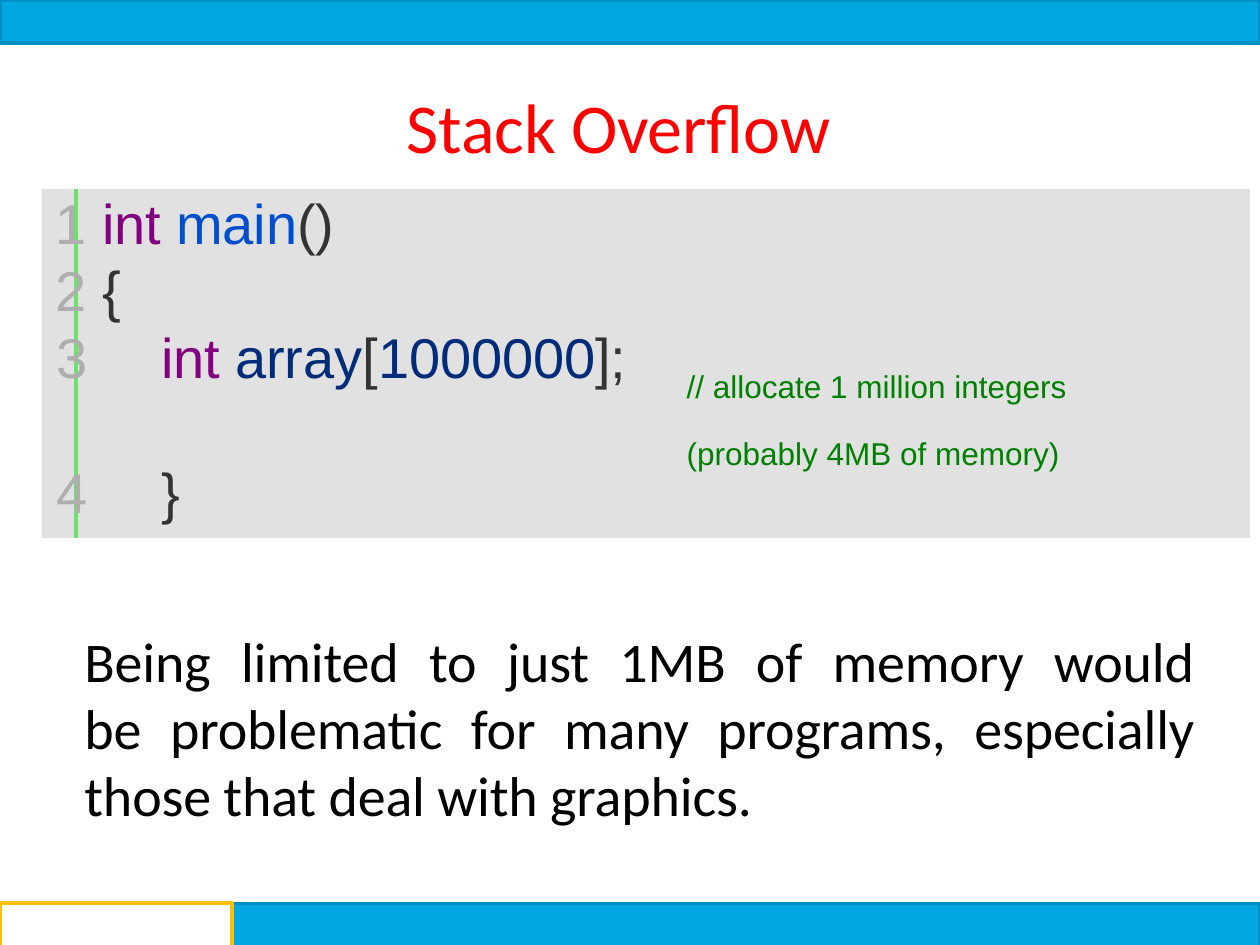
from lxml import etree
from pptx import Presentation
from pptx.dml.color import RGBColor
from pptx.enum.shapes import MSO_CONNECTOR, MSO_SHAPE
from pptx.enum.text import PP_ALIGN
from pptx.oxml.ns import qn
from pptx.util import Inches, Pt

COLORS = {
    "bar": "00A7E1", "bar_line": "0091C4", "white": "FFFFFF", "gold": "FFC000",
    "title": "FF0000", "panel": "E1E1E1", "rule": "6CE16C", "body": "000000",
    "number": "AEAEAE", "keyword": "800080", "function": "004ED0",
    "symbol": "333333", "value": "002C79", "comment": "008000",
}
LINE_PITCH = Pt(38.3)
CODE_LINES = [
    [("1 ", "number"), ("int ", "keyword"), ("main", "function"), ("()", "symbol")],
    [("2 ", "number"), ("{", "symbol")],
    [("int ", "keyword"), ("array", "value"), ("[", "symbol"),
     ("1000000", "value"), ("];", "symbol")],
    [("}", "symbol")],
]
FIRST_NUMBERED = 2


def rgb(name):
    return RGBColor.from_string(COLORS[name])


def paint(shape, fill, line=None, width=2):
    shape.shadow.inherit = False
    shape.fill.solid()
    shape.fill.fore_color.rgb = rgb(fill)
    if line:
        shape.line.color.rgb = rgb(line)
        shape.line.width = Pt(width)
    else:
        shape.line.fill.background()


def add_rectangle(slide, left, top, width, height, fill, line=None):
    shape = slide.shapes.add_shape(
        MSO_SHAPE.RECTANGLE, Inches(left), Inches(top), Inches(width), Inches(height))
    paint(shape, fill, line)


def add_footer_block(slide, left, top, width, height, fill, line, line_width):
    """Draw a filled block whose outline is open along the bottom."""
    right, bottom = left + width, top + height
    corners = [(right, top), (left, top), (left, bottom)]
    builder = slide.shapes.build_freeform(Inches(right), Inches(bottom))
    builder.add_line_segments([(Inches(x), Inches(y)) for x, y in corners], close=False)
    paint(builder.convert_to_shape(), fill, line, line_width)


def add_text_frame(slide, left, top, width, height):
    box = slide.shapes.add_textbox(
        Inches(left), Inches(top), Inches(width), Inches(height))
    frame = box.text_frame
    frame.word_wrap = True
    frame.margin_left = frame.margin_right = 0
    frame.margin_top = frame.margin_bottom = 0
    return frame


def set_font(paragraph, name, size, color=None, tracking=-0.1):
    paragraph.font.name = name
    paragraph.font.size = Pt(size)
    if color:
        paragraph.font.color.rgb = rgb(color)
    defaults = paragraph._p.pPr.find(qn("a:defRPr"))
    defaults.set("spc", str(round(tracking * 100)))


def add_plain_text(slide, left, top, width, height, text, font):
    paragraph = add_text_frame(slide, left, top, width, height).paragraphs[0]
    paragraph.text = text
    set_font(paragraph, *font)
    return paragraph


def number_paragraph(paragraph, start):
    properties = paragraph._p.get_or_add_pPr()
    properties.set("marL", str(Inches(0.84)))
    properties.set("indent", str(Inches(-0.83)))
    bullet_color = etree.SubElement(properties, qn("a:buClr"))
    etree.SubElement(bullet_color, qn("a:srgbClr"), val=COLORS["number"])
    etree.SubElement(properties, qn("a:buFont"), typeface="Arial")
    etree.SubElement(properties, qn("a:buAutoNum"), type="arabicPlain", startAt=str(start))


def add_code_lines(slide, left, top, width, height):
    frame = add_text_frame(slide, left, top, width, height)
    for index, parts in enumerate(CODE_LINES):
        paragraph = frame.paragraphs[0] if index == 0 else frame.add_paragraph()
        if index >= FIRST_NUMBERED:
            number_paragraph(paragraph, FIRST_NUMBERED + 1)
        if index > 0:
            paragraph.line_spacing = LINE_PITCH
        set_font(paragraph, "Arial", 32)
        for text, color in parts:
            run = paragraph.add_run()
            run.text = text
            run.font.color.rgb = rgb(color)
    # The comment's second line sits in the gap above the closing brace.
    paragraph.space_before = LINE_PITCH


def add_code_panel(slide, left, top, width, height):
    gutter = 0.27
    add_rectangle(slide, left, top, gutter, height, "panel")
    add_rectangle(slide, left + gutter, top, width - gutter, height, "panel")
    rule = slide.shapes.add_connector(
        MSO_CONNECTOR.STRAIGHT, Inches(left + gutter), Inches(top),
        Inches(left + gutter), Inches(top + height))
    rule.line.color.rgb = rgb("rule")
    rule.line.width = Pt(2.25)
    etree.SubElement(rule._element.spPr, qn("a:effectLst"))
    add_code_lines(slide, left + 0.11, top, width - 0.2, height)
    comment = add_plain_text(
        slide, left + 5.12, top + 1.18, 3.87, 1.09,
        "// allocate 1 million integers (probably 4MB of memory)",
        ("Arial", 18, "comment", 0))
    comment.line_spacing = LINE_PITCH


def add_bars(slide):
    add_rectangle(slide, 0, 0, 10, 0.34, "bar", "bar_line")
    add_footer_block(slide, 0, 7.17, 10, 0.33, "bar", "bar_line", 2)
    add_footer_block(slide, 0, 7.17, 1.84, 0.33, "white", "gold", 2.25)


def main():
    presentation = Presentation()
    presentation.slide_width, presentation.slide_height = Inches(10), Inches(7.5)
    slide = presentation.slides.add_slide(presentation.slide_layouts[6])
    add_bars(slide)
    add_plain_text(slide, 3.23, 0.66, 6.42, 0.58, "Stack Overflow",
                   ("Calibri", 40, "title"))
    add_code_panel(slide, 0.33, 1.5, 9.59, 2.77)
    body = add_plain_text(
        slide, 0.67, 4.97, 8.81, 1.62,
        "Being limited to just 1MB of memory would\v"
        "be problematic for many programs, especially\v"
        "those that deal with graphics.",
        ("Calibri", 32, "body"))
    body.alignment = PP_ALIGN.JUSTIFY
    presentation.save("out.pptx")


if __name__ == "__main__":
    main()
